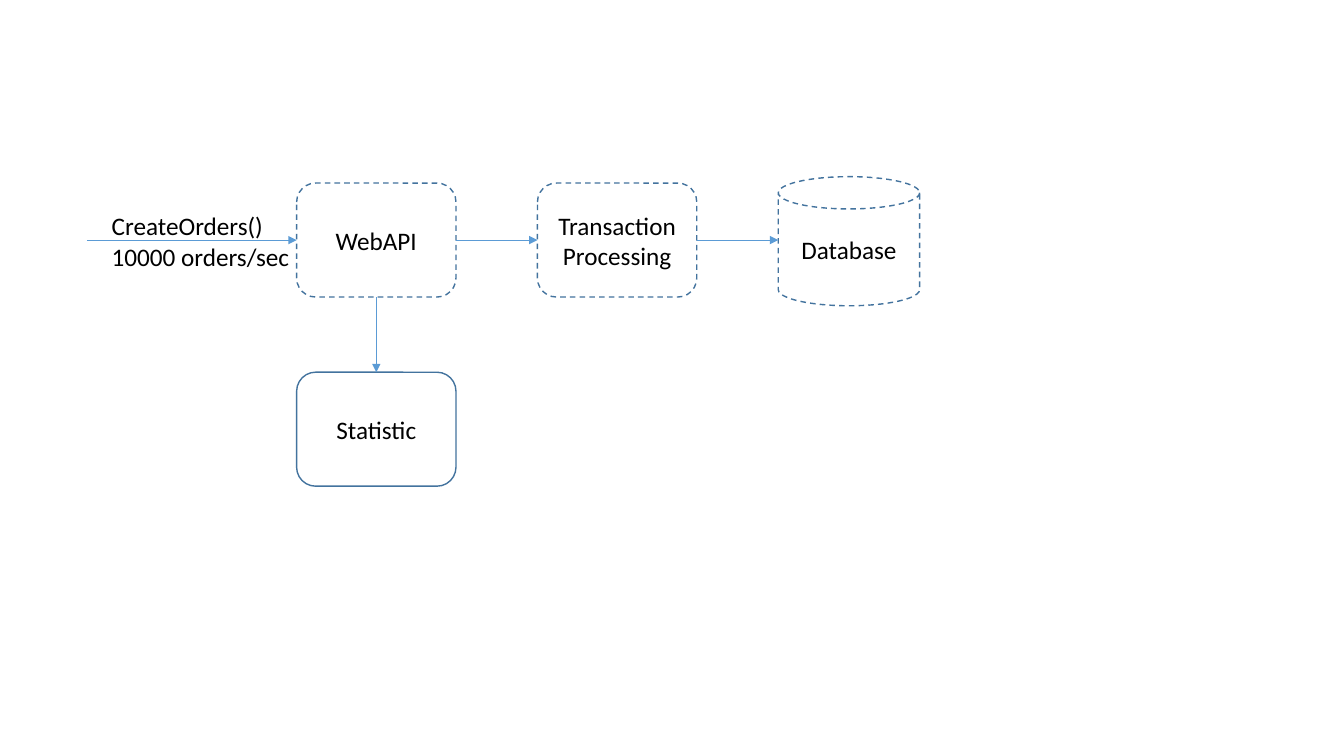
from dataclasses import dataclass

from lxml import etree
from pptx import Presentation
from pptx import oxml
from pptx.dml.color import RGBColor as Rgb
from pptx.enum import dml, shapes, text
from pptx.oxml import ns
from pptx.util import Pt


@dataclass(frozen=True)
class Theme:
    font: str = "Calibri"
    size: float = 18
    ink: str = "000000"
    edge: str = "43739E"
    flow: str = "5B9BD5"
    thick: float = 1
    thin: float = 0.5


class Board:
    def __init__(self, slide, theme):
        self.items = slide.shapes
        self.theme = theme

    def style(self, frame, align):
        for para in frame.paragraphs:
            para.alignment = align
            for run in para.runs:
                run.font.name = self.theme.font
                run.font.size = Pt(self.theme.size)
                run.font.color.rgb = Rgb.from_string(self.theme.ink)

    def node(self, kind, words, left, top, width, height, dashed=True):
        node = self.items.add_shape(kind, Pt(left), Pt(top), Pt(width), Pt(height))
        node.shadow.inherit = False
        node.fill.background()
        node.line.color.rgb = Rgb.from_string(self.theme.edge)
        node.line.width = Pt(self.theme.thick)
        if dashed:
            node.line.dash_style = dml.MSO_LINE.DASH
        frame = node.text_frame
        frame.word_wrap = True
        frame.vertical_anchor = text.MSO_ANCHOR.MIDDLE
        frame.text = words
        self.style(frame, text.PP_ALIGN.CENTER)
        return node

    def label(self, words, left, top, width, height):
        box = self.items.add_textbox(Pt(left), Pt(top), Pt(width), Pt(height))
        frame = box.text_frame
        frame.word_wrap = False
        frame.auto_size = text.MSO_AUTO_SIZE.SHAPE_TO_FIT_TEXT
        frame.text = words
        self.style(frame, text.PP_ALIGN.LEFT)

    def arrow(self, start, end, source=None, target=None):
        ends = [Pt(value) for value in (*start, *end)]
        link = self.items.add_connector(shapes.MSO_CONNECTOR.STRAIGHT, *ends)
        if source:
            link.begin_connect(*source)
        if target:
            link.end_connect(*target)
        link.line.color.rgb = Rgb.from_string(self.theme.flow)
        link.line.width = Pt(self.theme.thin)
        props = link.element.spPr
        head = etree.SubElement(link.line._get_or_add_ln(), ns.qn("a:tailEnd"))
        head.set("type", "triangle")
        props.append(oxml.parse_xml(f"<a:effectLst {ns.nsdecls('a')}/>"))


deck = Presentation()
deck.slide_width, deck.slide_height = Pt(960), Pt(540)
board = Board(deck.slides.add_slide(deck.slide_layouts[6]), Theme())

LEFT, TOP, WIDE, HIGH = 211.9, 130.8, 113.8, 81.4
STEP, DROP = 172, 135.1
MID = TOP + HIGH / 2
BOTTOM, SIDE = 2, 3
ROUND = shapes.MSO_SHAPE.ROUNDED_RECTANGLE
cols = [LEFT + i * STEP for i in range(3)]

api = board.node(ROUND, "WebAPI", cols[0], TOP, WIDE, HIGH)
work = board.node(ROUND, "Transaction\nProcessing", cols[1], TOP, WIDE, HIGH)
board.node(shapes.MSO_SHAPE.CAN, "Database", cols[2], 126.2, 101, 92.2)
stat = board.node(ROUND, "Statistic", LEFT, TOP + DROP, WIDE, HIGH, False)
board.label("CreateOrders()\n10000 orders/sec", 72.7, 146.9, 142.6, 50.9)

board.arrow((62, MID), (LEFT, MID), target=(api, 1))
board.arrow((LEFT + WIDE, MID), (cols[1], MID), (api, SIDE), (work, 1))
board.arrow((cols[1] + WIDE, MID), (cols[2], MID), (work, SIDE))
center = LEFT + WIDE / 2
board.arrow((center, TOP + HIGH), (center, TOP + DROP), (api, BOTTOM), (stat, 0))

deck.save("out.pptx")
